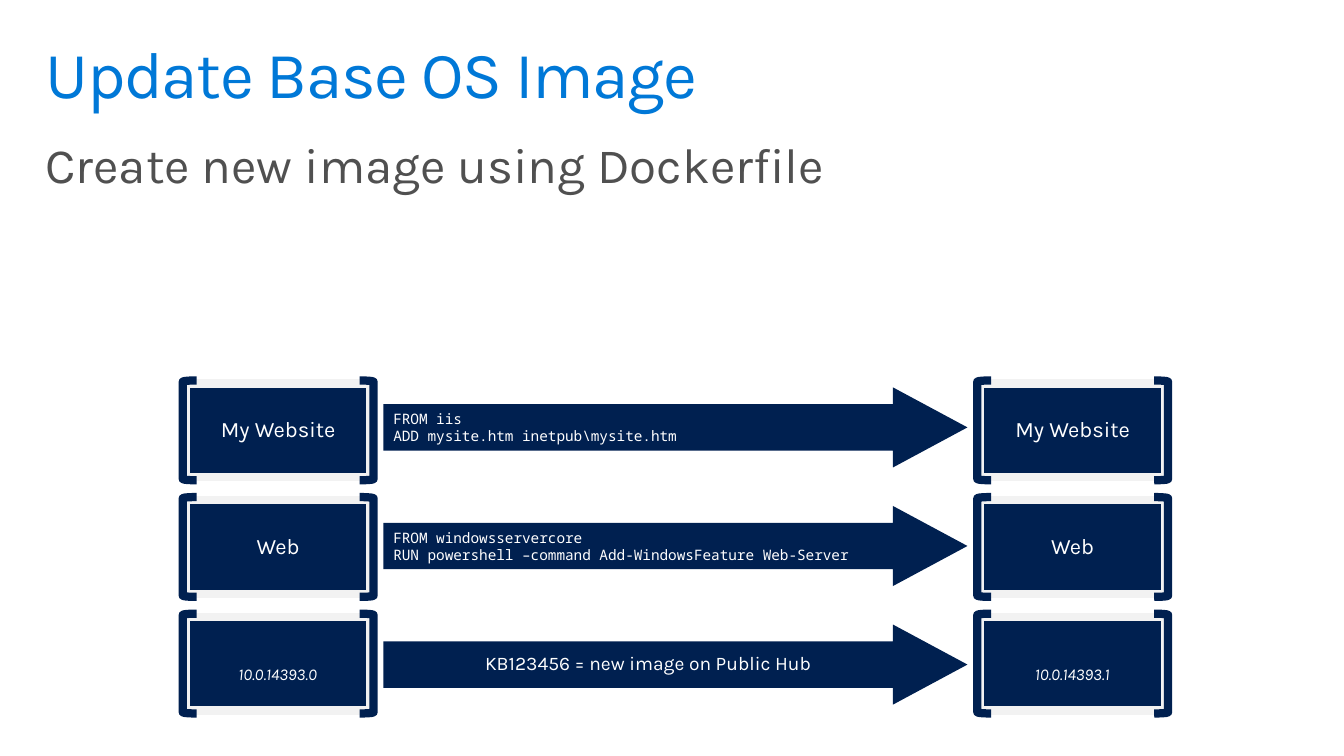
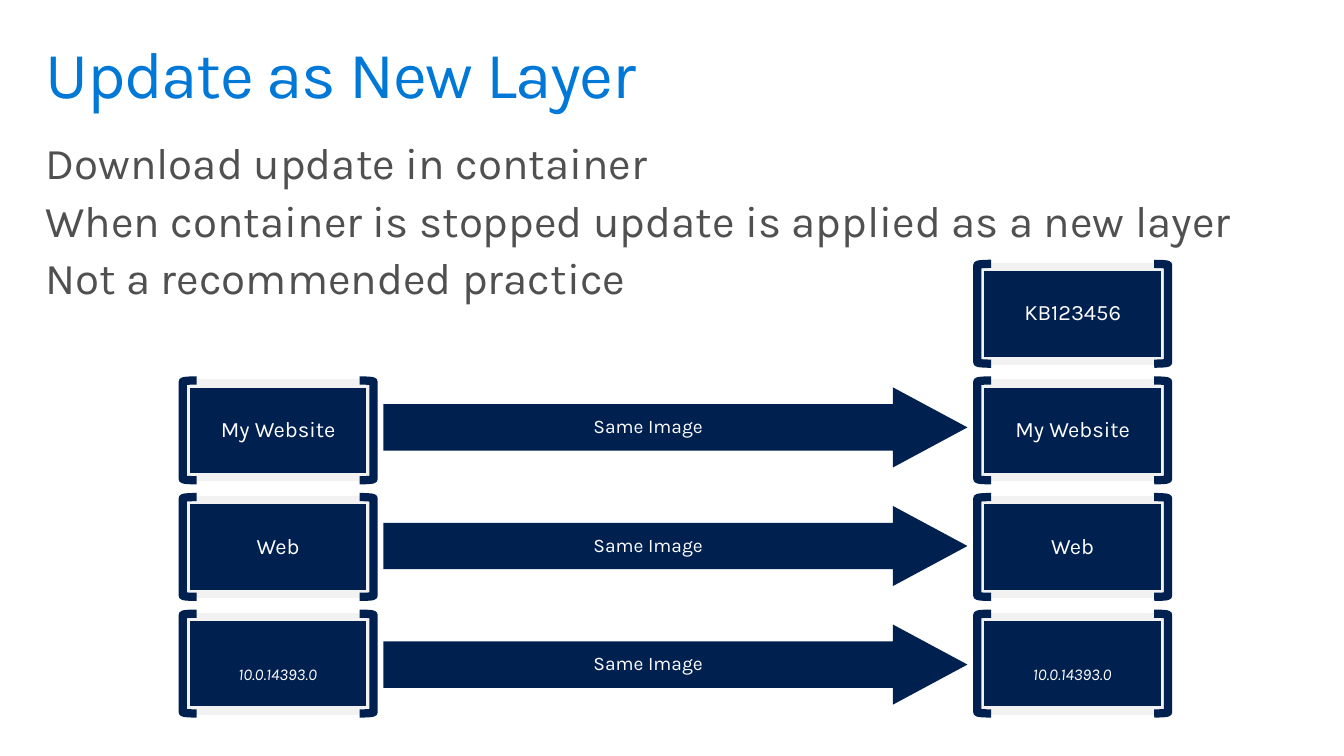
from pptx import Presentation
from pptx.dml.color import RGBColor
from pptx.enum.shapes import MSO_SHAPE as Form
from pptx.enum.text import MSO_ANCHOR as Anchor, PP_ALIGN as Align
from pptx.oxml.ns import qn
from pptx.util import Inches, Pt
from lxml.etree import SubElement

WIDE, HIGH = 13.6, 7.65
HUES = {
    "title": "0078D7",
    "body": "505050",
    "navy": "002050",
    "edge": "F2F2F2",
    "white": "FFFFFF",
}
SANS, MONO = "Karla", "Noto Sans Mono"
LEFT, TOP = 1.88, 3.88
COL, ROW = 8.04, 1.18
BOX = (1.87, 0.95)
OUT = 0.03
BRACE = (0.14, 1.01)
SHAFT, FIRST, STEP = 3.88, 3.92, 1.2
ARROW = (5.91, 0.81)
PAD = (0.2, 0.16)
NAMES = ["My Website", "Web"]
OLD = "10.0.14393.0"


def tint(name):
    return RGBColor.from_string(HUES[name])


def write(shape, lines, size, hue="white", face=SANS, pad=PAD,
          align=Align.CENTER, anchor=Anchor.MIDDLE, lead=0.9,
          gap=0, slant=False, track=0):
    frame = shape.text_frame
    frame.word_wrap = True
    frame.vertical_anchor = anchor
    frame.margin_left = frame.margin_right = Inches(pad[0])
    frame.margin_top = frame.margin_bottom = Inches(pad[1])
    frame.text = "\n".join(lines)
    for rank, para in enumerate(frame.paragraphs):
        para.alignment = align
        para.line_spacing = lead
        para.space_before = Pt(gap if rank else 0)
        for run in para.runs:
            font = run.font
            font.name, font.size, font.italic = face, Pt(size), slant
            font.color.rgb = tint(hue)
            if track:
                run._r.get_or_add_rPr().set("spc", str(track))


def label(slide, at, lines, size, **style):
    box = slide.shapes.add_textbox(*map(Inches, at))
    write(box, lines, size, **style)


def draw(slide, form, at, fill=None, edge=None):
    shape = slide.shapes.add_shape(form, *map(Inches, at))
    shape.shadow.inherit = False
    if fill:
        shape.fill.solid()
        shape.fill.fore_color.rgb = tint(fill)
    else:
        shape.fill.background()
    if edge:
        shape.line.color.rgb = tint(edge)
        shape.line.width = Pt(6)
    else:
        shape.line.fill.background()
    return shape


def head(slide, title, lines, size, tall):
    style = dict(pad=(0.16, 0.1), align=Align.LEFT, anchor=Anchor.TOP)
    label(slide, (0.3, 0.32, WIDE - 0.6, 1), [title], 48,
          hue="title", track=-100, **style)
    label(slide, (0.3, 1.33, WIDE - 0.6, tall), lines, size,
          hue="body", gap=7.5, **style)


def layer(slide, col, row, name=None):
    x, y = LEFT + col * COL, TOP + row * ROW
    box = draw(slide, Form.RECTANGLE, (x, y, *BOX), "navy", "edge")
    SubElement(box.element.spPr.find(qn("a:ln")), qn("a:miter"), lim="800000")
    if name:
        write(box, [name], 16)
    ends = [(Form.RIGHT_BRACKET, BOX[0] + OUT - BRACE[0]),
            (Form.LEFT_BRACKET, -OUT)]
    for form, shift in ends:
        draw(slide, form, (x + shift, y - OUT, *BRACE), edge="navy")


def stack(slide, col, mark):
    for row, name in enumerate([*NAMES, None]):
        layer(slide, col, row, name)
    x, y = LEFT + col * COL, TOP + len(NAMES) * ROW
    label(slide, (x + 0.04, y + 0.41, 1.78, 0.43), [mark], 12,
          anchor=Anchor.TOP, slant=True)


def arrow(slide, row, lines, code=False):
    y = FIRST + row * STEP
    shape = draw(slide, Form.RIGHT_ARROW, (SHAFT, y, *ARROW), "navy")
    shape.adjustments[0], shape.adjustments[1] = 0.58, 0.93
    tall = 0.45 if code else 0.54
    mid = y + (ARROW[1] - tall) / 2
    if code:
        label(slide, (SHAFT + 0.1, mid, 5.27, tall), lines, 10.5, face=MONO,
              pad=(0, 0.05), align=Align.LEFT, lead=1)
    else:
        label(slide, (SHAFT, mid, 5.36, tall), lines, 14)


def rebuild(slide):
    head(slide, "Update Base OS Image",
         ["Create new image using Dockerfile"], 36, 0.75)
    stack(slide, 0, OLD)
    stack(slide, 1, "10.0.14393.1")
    arrow(slide, 0, ["FROM iis", r"ADD mysite.htm inetpub\mysite.htm"], True)
    arrow(slide, 1, ["FROM windowsservercore",
                     "RUN powershell –command Add-WindowsFeature Web-Server"],
          True)
    arrow(slide, 2, ["KB123456 = new image on Public Hub"])


def patch(slide):
    head(slide, "Update as New Layer",
         ["Download update in container",
          "When container is stopped update is applied as a new layer",
          "Not a recommended practice"], 32, 1.87)
    for col in range(2):
        stack(slide, col, OLD)
    layer(slide, 1, -1, "KB123456")
    for row in range(3):
        arrow(slide, row, ["Same Image"])


def main():
    deck = Presentation()
    deck.slide_width, deck.slide_height = Inches(WIDE), Inches(HIGH)
    for build in (rebuild, patch):
        build(deck.slides.add_slide(deck.slide_layouts[6]))
    deck.save("out.pptx")


if __name__ == "__main__":
    main()
